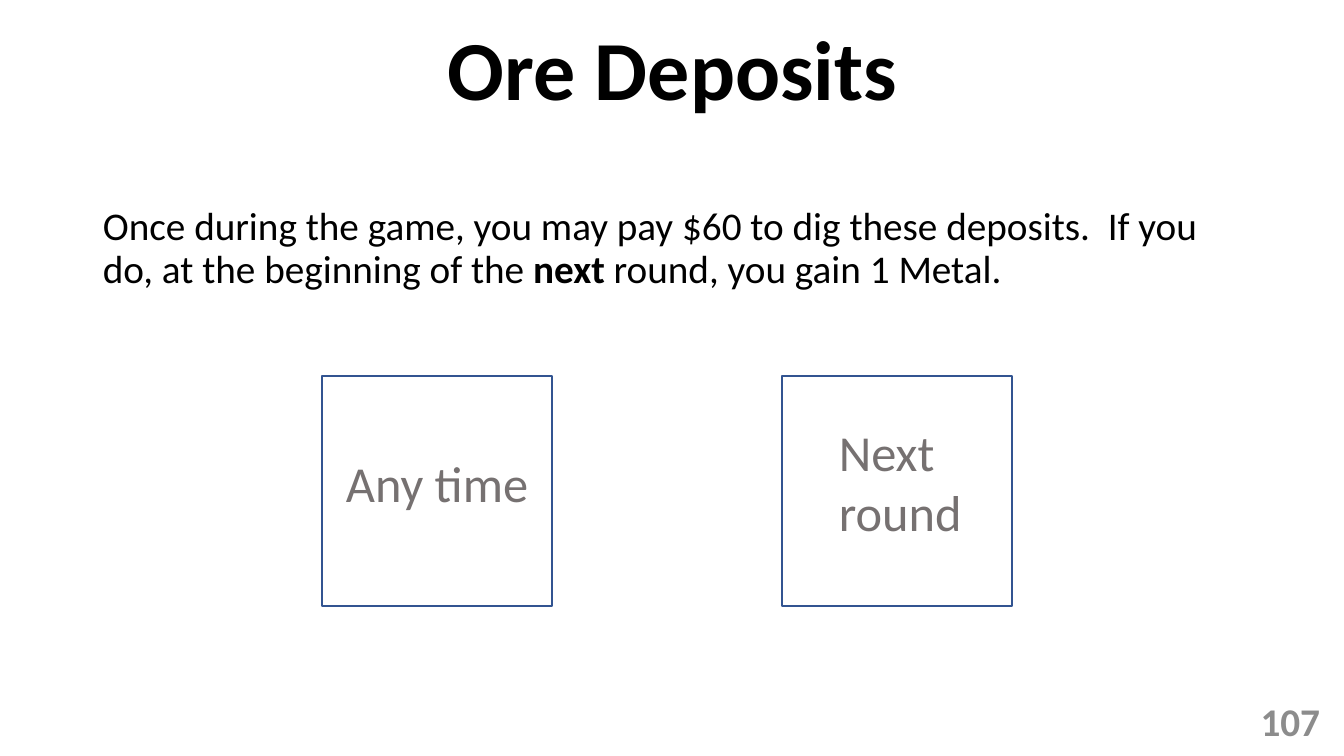
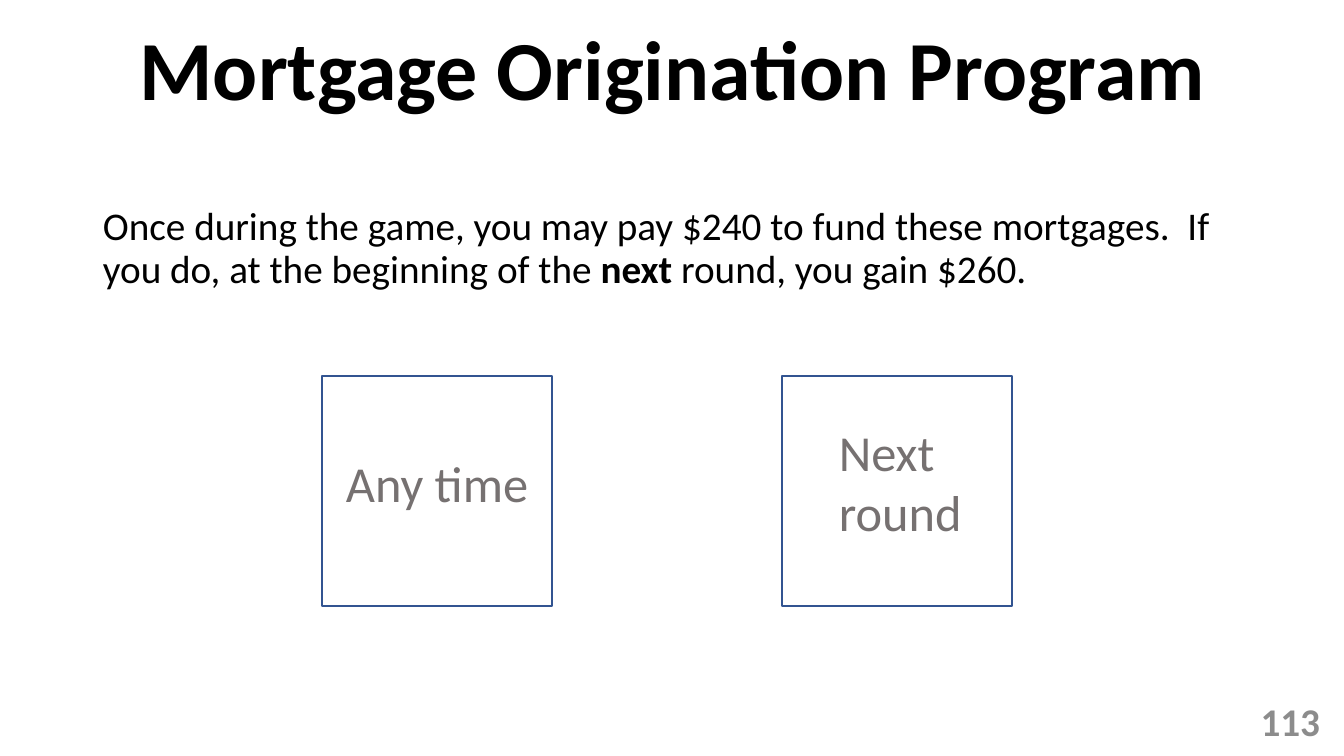
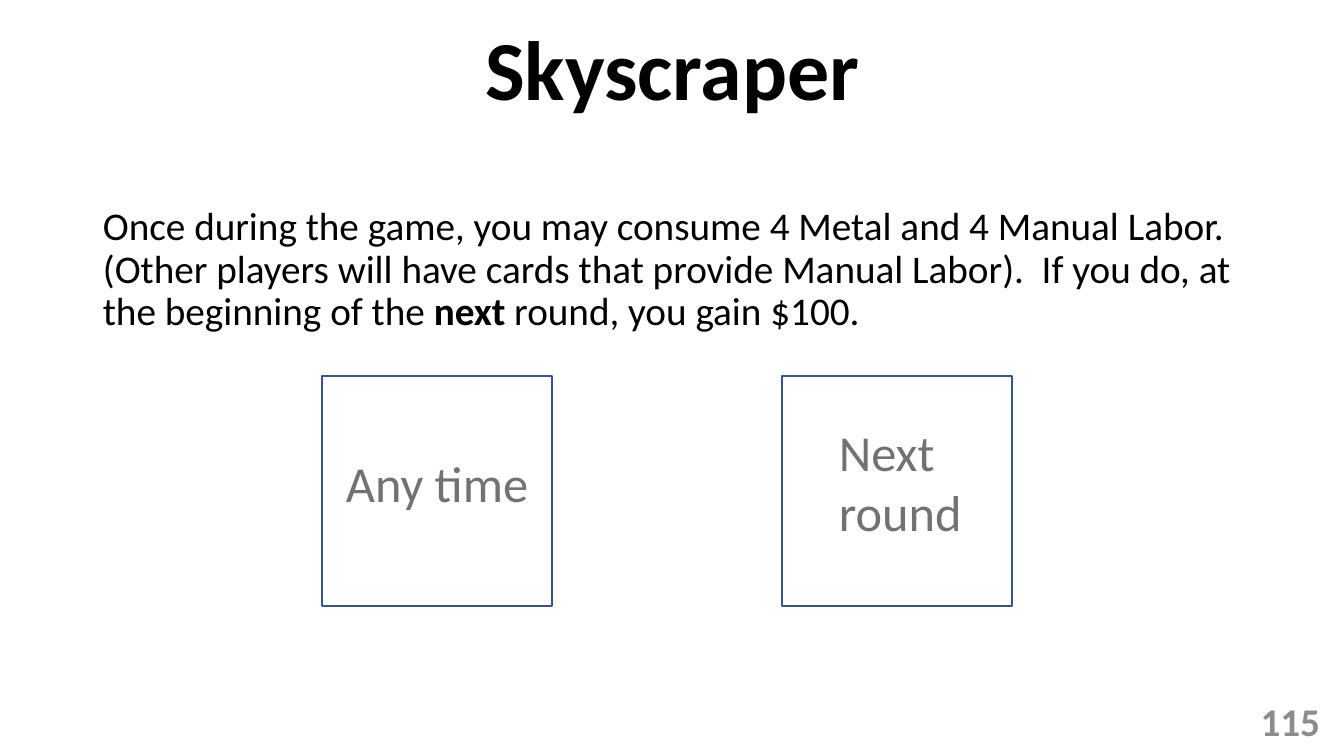
from pptx import Presentation
from pptx.dml.color import RGBColor
from pptx.enum import shapes, text
from pptx.util import Emu, Pt

CARDS = [
    ("Ore Deposits", "107",
     "Once during the game, you may pay $60 to dig these deposits.  If you do, "
     "at the beginning of the ", " round, you gain 1 Metal."),
    ("Mortgage Origination Program", "113",
     "Once during the game, you may pay $240 to fund these mortgages.  If you do, "
     "at the beginning of the ", " round, you gain $260."),
    ("Skyscraper", "115",
     "Once during the game, you may consume 4 Metal and 4 Manual Labor.  "
     "(Other players will have cards that provide Manual Labor).  If you do, "
     "at the beginning of the ", " round, you gain $100."),
]
KEYWORD = "next"
LABELS = [("Any time", (336, 447, 204, 72)), ("Next round", (829, 416, 204, 132))]

COLORS = {"paper": "FFFFFF", "ink": "000000", "label": "767171",
          "number": "8C8C8C", "outline": "325491"}
FONT = "Calibri"
PX = 914400 / 100.8
WIDTH, HEIGHT = 1344, 756
TITLE_AREA = (93, 0, 1159, 146)
RULE_AREA = (93, 202, 1159, 155)
NUMBER_AREA = (1028, 701, 302, 40)
SQUARE, SQUARE_LEFT, SQUARE_TOP = 230, 322, 376
SQUARE_STEP = 2 * SQUARE

LEFT, CENTER, RIGHT = text.PP_ALIGN.LEFT, text.PP_ALIGN.CENTER, text.PP_ALIGN.RIGHT
TOP, MIDDLE = text.MSO_ANCHOR.TOP, text.MSO_ANCHOR.MIDDLE


def px(*lengths):
    return [Emu(round(length * PX)) for length in lengths]


def color(name):
    return RGBColor.from_string(COLORS[name])


def add_text(page, area, spans, size, ink="ink", align=LEFT, anchor=TOP,
             spacing=1.0, before=0):
    box = page.shapes.add_textbox(*px(*area))
    frame = box.text_frame
    frame.word_wrap = True
    frame.vertical_anchor = anchor
    para = frame.paragraphs[0]
    para.alignment = align
    para.line_spacing = spacing
    para.space_before = Pt(before)
    for words, bold in spans:
        span = para.add_run()
        span.text = words
        span.font.name = FONT
        span.font.size = Pt(size)
        span.font.bold = bold
        span.font.color.rgb = color(ink)


def add_square(page, left):
    square = page.shapes.add_shape(shapes.MSO_SHAPE.RECTANGLE,
                                   *px(left, SQUARE_TOP, SQUARE, SQUARE))
    square.shadow.inherit = False
    square.fill.solid()
    square.fill.fore_color.rgb = color("paper")
    square.line.color.rgb = color("outline")
    square.line.width = Pt(1)


def add_card(deck, title, number, rule, reward):
    page = deck.slides.add_slide(deck.slide_layouts[6])
    add_text(page, TITLE_AREA, [(title, True)], 60, align=CENTER, anchor=MIDDLE,
             spacing=0.9)
    add_text(page, RULE_AREA, [(rule, False), (KEYWORD, True), (reward, False)], 28,
             spacing=0.9, before=10)
    for index, (label, area) in enumerate(LABELS):
        add_square(page, SQUARE_LEFT + index * SQUARE_STEP)
        add_text(page, area, [(label, False)], 36, "label")
    add_text(page, NUMBER_AREA, [(number, True)], 28, "number", RIGHT, MIDDLE)


def main():
    deck = Presentation()
    deck.slide_width, deck.slide_height = px(WIDTH, HEIGHT)
    for card in CARDS:
        add_card(deck, *card)
    deck.save("out.pptx")


if __name__ == "__main__":
    main()
